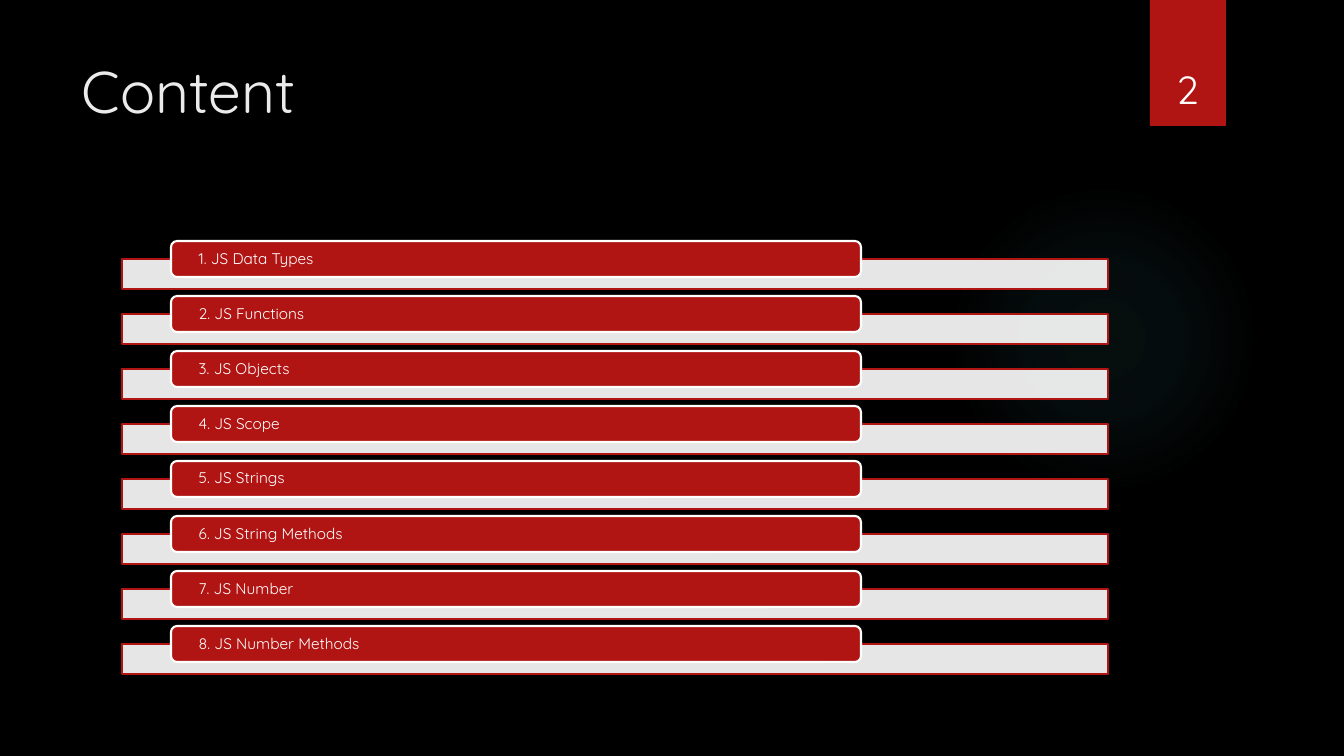
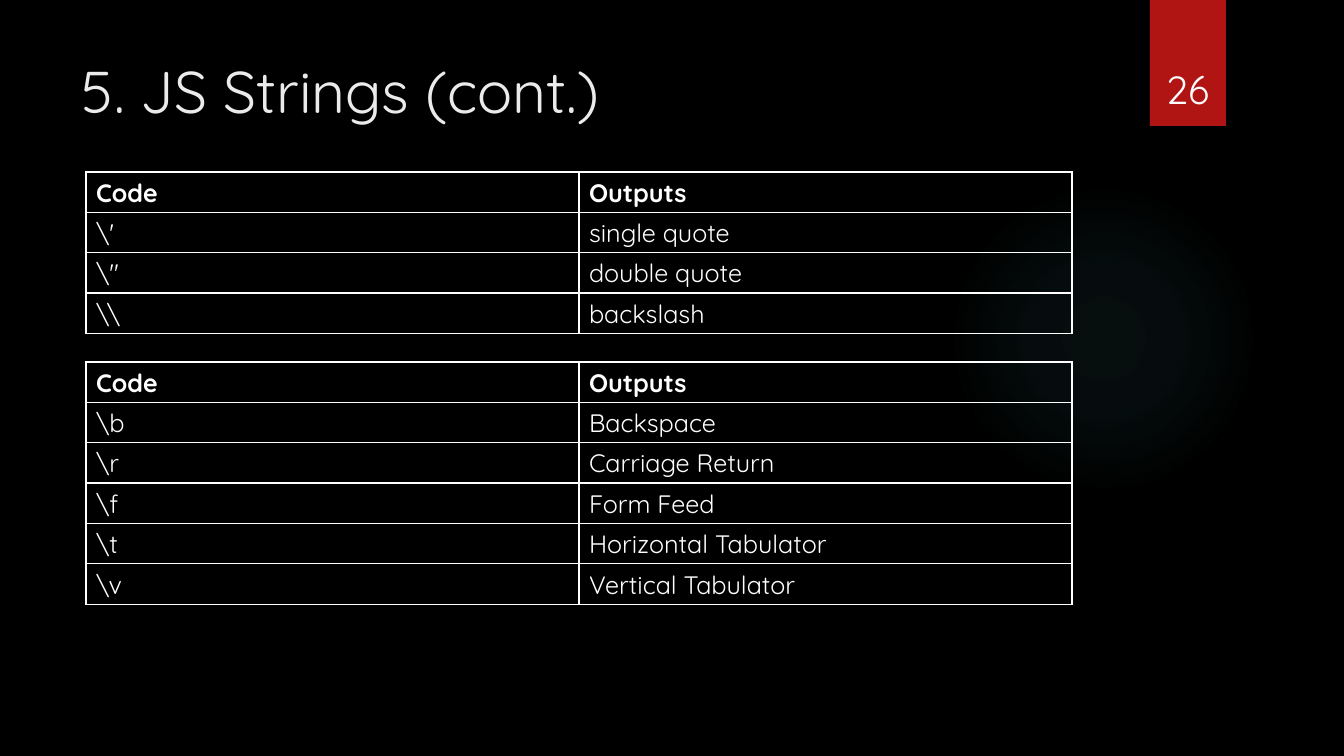
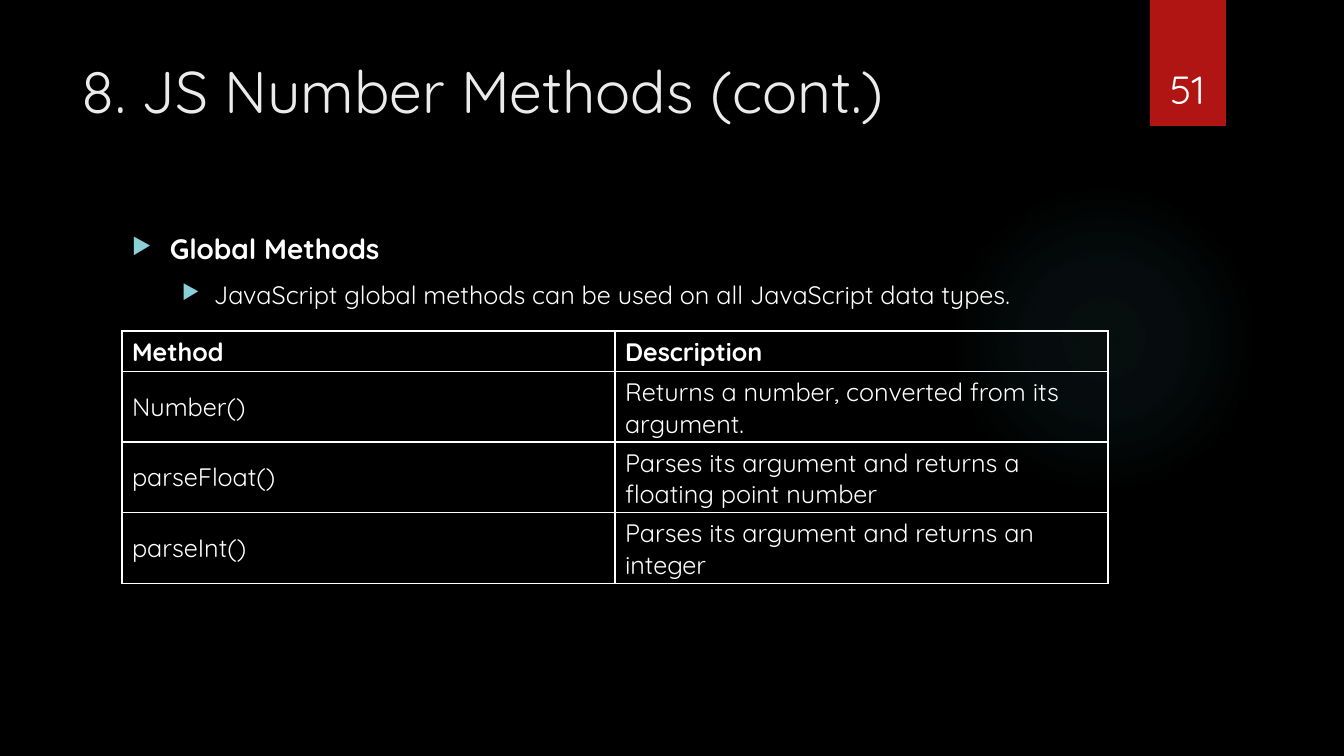
import lxml.etree
import pptx
import pptx.dml.color
import pptx.enum.shapes
import pptx.enum.text
import pptx.oxml
import pptx.oxml.ns
import pptx.util

RGB = pptx.dml.color.RGBColor
SHAPE = pptx.enum.shapes.MSO_SHAPE
ANCHOR = pptx.enum.text.MSO_ANCHOR
ALIGN = pptx.enum.text.PP_ALIGN
qn = pptx.oxml.ns.qn

BLACK = RGB(0x00, 0x00, 0x00)
WHITE = RGB(0xFF, 0xFF, 0xFF)
TITLE_GREY = RGB(0xEB, 0xEB, 0xEB)
RED = RGB(0xB0, 0x15, 0x13)
TEAL = RGB(0x50, 0xB9, 0xC1)
BULLET_TEAL = RGB(0x8A, 0xD0, 0xD6)
FONT = "Quicksand"
NO_STYLE = "{2D5ABB26-0587-4C30-8999-92F81FD0307C}"

SLIDE_SIZE = (1344, 756)
GLOW_BOX = (949, 184, 310, 310)
GLOW_STOPS = [(0, 7), (36, 6), (69, 0)]  # position and opacity in percent
RIBBON_BOX = (1150, 0, 76, 126)
NUMBER_BOX = (1141, 32, 93, 85)
TITLE_BOX = (72, 50, 1037, 154)
BODY_BOX = (122, 227, 986, 463)

STRIP_BOX = (122, 259, 986, 30)
TAB_BOX = (171, 241, 690, 36)
TOPIC_PITCH = 55
TABLE_WIDTH = 986
ROW = 40
TALL_ROW = 70

TOPICS = [
    "1. JS Data Types", "2. JS Functions", "3. JS Objects", "4. JS Scope",
    "5. JS Strings", "6. JS String Methods", "7. JS Number", "8. JS Number Methods",
]
QUOTE_CODES = [
    ("Code", "Outputs"),
    (r"\'", "single quote"),
    (r'\"', "double quote"),
    (r"\\", "backslash"),
]
CONTROL_CODES = [
    ("Code", "Outputs"),
    (r"\b", "Backspace"),
    (r"\r", "Carriage Return"),
    (r"\f", "Form Feed"),
    (r"\t", "Horizontal Tabulator"),
    (r"\v", "Vertical Tabulator"),
]
GLOBAL_METHODS = [
    ("Method", "Description"),
    ("Number()", "Returns a number, converted from its argument."),
    ("parseFloat()", "Parses its argument and returns a floating point number"),
    ("parseInt()", "Parses its argument and returns an integer"),
]
# text, level, size, bold, left margin, hanging indent
BULLETS = [
    ("Global Methods", 0, 20, True, 38, 38),
    ("JavaScript global methods can be used on all JavaScript data types.",
     1, 18, False, 82, 32),
]


def px(length):
    return pptx.util.Emu(round(length * 914400 / 100.8))


def place(box):
    return [px(length) for length in box]


def style(para, size, color=WHITE, bold=False):
    for span in para.runs:
        span.font.name = FONT
        span.font.size = pptx.util.Pt(size)
        span.font.bold = bold
        span.font.color.rgb = color


def add_shape(page, kind, box, fill, line=None):
    shape = page.shapes.add_shape(kind, *place(box))
    shape.shadow.inherit = False
    shape.fill.solid()
    shape.fill.fore_color.rgb = fill
    if line is None:
        shape.line.fill.background()
    else:
        shape.line.color.rgb = line
        shape.line.width = pptx.util.Pt(1.5)
    return shape


def add_text(page, box, text, size, color=WHITE):
    frame = page.shapes.add_textbox(*place(box)).text_frame
    frame.word_wrap = True
    frame.text = text
    style(frame.paragraphs[0], size, color)
    return frame


def add_glow(page):
    glow = add_shape(page, SHAPE.OVAL, GLOW_BOX, TEAL)
    stops = "".join(
        f'<a:gs pos="{position * 1000}"><a:srgbClr val="{TEAL}">'
        f'<a:alpha val="{opacity * 1000}"/></a:srgbClr></a:gs>'
        for position, opacity in GLOW_STOPS)
    gradient = pptx.oxml.parse_xml(
        f'<a:gradFill {pptx.oxml.ns.nsdecls("a")} rotWithShape="1"><a:gsLst>{stops}</a:gsLst>'
        '<a:path path="circle"><a:fillToRect l="50000" t="50000" r="50000" b="50000"/>'
        '</a:path></a:gradFill>')
    properties = glow._element.spPr
    properties.replace(properties.find(qn("a:solidFill")), gradient)


def add_page(deck, title, number):
    page = deck.slides.add_slide(deck.slide_layouts[6])
    add_glow(page)
    add_shape(page, SHAPE.RECTANGLE, RIBBON_BOX, RED)
    add_text(page, TITLE_BOX, title, 42, TITLE_GREY)
    frame = add_text(page, NUMBER_BOX, str(number), 28)
    frame.vertical_anchor = ANCHOR.BOTTOM
    frame.paragraphs[0].alignment = ALIGN.CENTER
    return page


def add_topic(page, text, offset):
    """Draw a pale strip with a red tab over it, moved down by offset."""
    left, top, width, height = STRIP_BOX
    strip = add_shape(page, SHAPE.RECTANGLE, (left, top + offset, width, height), WHITE, RED)
    strip_color = strip._element.spPr.find(qn("a:solidFill")).find(qn("a:srgbClr"))
    lxml.etree.SubElement(strip_color, qn("a:alpha"), val="90000")

    left, top, width, height = TAB_BOX
    tab = add_shape(page, SHAPE.ROUNDED_RECTANGLE, (left, top + offset, width, height), RED, WHITE)
    frame = tab.text_frame
    frame.margin_left = frame.margin_right = px(26)
    frame.margin_top = frame.margin_bottom = 0
    frame.vertical_anchor = ANCHOR.MIDDLE
    frame.text = text
    para = frame.paragraphs[0]
    para.alignment = ALIGN.LEFT
    para.line_spacing = 0.9
    style(para, 11)


def add_borders(cell):
    properties = cell._tc.get_or_add_tcPr()
    for index, side in enumerate(("lnL", "lnR", "lnT", "lnB")):
        properties.insert(index, pptx.oxml.parse_xml(
            f'<a:{side} {pptx.oxml.ns.nsdecls("a")} w="12700"><a:solidFill>'
            f'<a:srgbClr val="{WHITE}"/></a:solidFill></a:{side}>'))


def add_grid(page, left, top, rows, body_height=ROW):
    heights = [ROW] + [body_height] * (len(rows) - 1)
    table = page.shapes.add_table(
        len(rows), len(rows[0]), *place((left, top, TABLE_WIDTH, sum(heights)))).table
    table.horz_banding = False
    table._tbl.tblPr.find(qn("a:tableStyleId")).text = NO_STYLE
    for row_index, texts in enumerate(rows):
        table.rows[row_index].height = px(heights[row_index])
        for column_index, text in enumerate(texts):
            cell = table.cell(row_index, column_index)
            cell.text = text
            cell.vertical_anchor = ANCHOR.MIDDLE
            cell.fill.background()
            add_borders(cell)
            style(cell.text_frame.paragraphs[0], 18, bold=row_index == 0)


def add_bullets(page):
    frame = page.shapes.add_textbox(*place(BODY_BOX)).text_frame
    frame.word_wrap = True
    frame.text = "\n".join(bullet[0] for bullet in BULLETS)
    for para, (_, level, size, bold, margin, hanging) in zip(frame.paragraphs, BULLETS):
        para.level = level
        para.space_before = pptx.util.Pt(10)
        style(para, size, bold=bold)
        properties = para._p.get_or_add_pPr()
        properties.set("marL", str(px(margin)))
        properties.set("indent", str(px(-hanging)))
        color = lxml.etree.SubElement(properties, qn("a:buClr"))
        lxml.etree.SubElement(color, qn("a:srgbClr"), val=str(BULLET_TEAL))
        lxml.etree.SubElement(properties, qn("a:buSzPct"), val="80000")
        lxml.etree.SubElement(properties, qn("a:buChar"), char="▶")


def main():
    deck = pptx.Presentation()
    deck.slide_width, deck.slide_height = place(SLIDE_SIZE)
    background = deck.slide_master.background.fill
    background.solid()
    background.fore_color.rgb = BLACK

    page = add_page(deck, "Content", 2)
    for index, topic in enumerate(TOPICS):
        add_topic(page, topic, index * TOPIC_PITCH)

    page = add_page(deck, "5. JS Strings (cont.)", 26)
    add_grid(page, 86, 172, QUOTE_CODES)
    add_grid(page, 86, 362, CONTROL_CODES)

    page = add_page(deck, "8. JS Number Methods (cont.)", 51)
    add_bullets(page)
    add_grid(page, 122, 331, GLOBAL_METHODS, TALL_ROW)

    deck.save("out.pptx")


if __name__ == "__main__":
    main()
